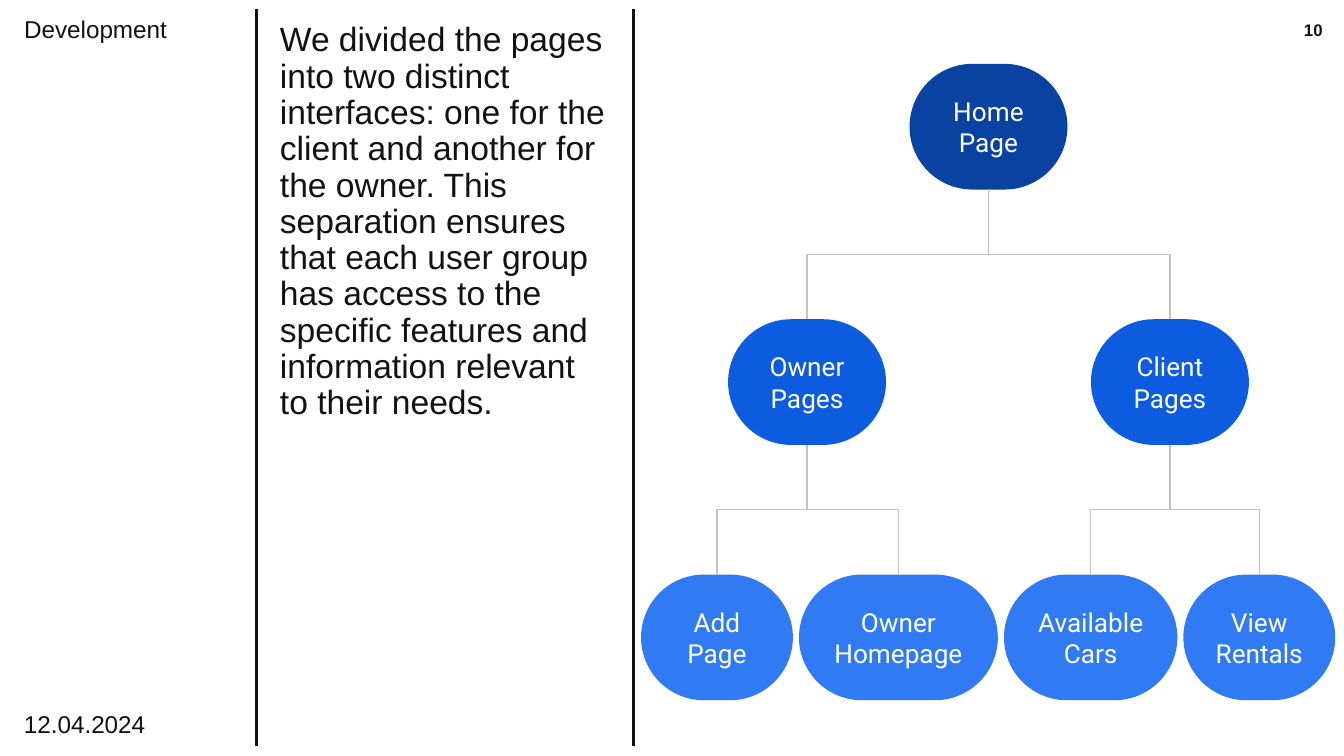
from lxml.etree import SubElement
from pptx import Presentation
from pptx.dml.color import RGBColor
from pptx.enum.shapes import MSO_CONNECTOR, MSO_SHAPE
from pptx.enum.text import MSO_ANCHOR, MSO_AUTO_SIZE, PP_ALIGN
from pptx.oxml.ns import qn
from pptx.util import Pt

PX = 4572  # 200 px to the inch
SLIDE_W, SLIDE_H = 2000, 1125

INK = RGBColor(0x12, 0x12, 0x12)
WHITE = RGBColor(0xFF, 0xFF, 0xFF)
BRANCH_GREY = RGBColor(0xC2, 0xC2, 0xC2)
HOME_BLUE = RGBColor(0x09, 0x42, 0xA1)
SECTION_BLUE = RGBColor(0x0D, 0x5C, 0xDF)
PAGE_BLUE = RGBColor(0x30, 0x7A, 0xF3)

TOP_SITE, BOTTOM_SITE = 0, 2
INSET, LABEL_H, DIVIDER_GAP = 20, 68, 15
NODE_H, TIER_STEP = 187, 380
SECTION_W, SECTION_OFFSET = 235, 270
PAGE_GAP = 9
SECTIONS = [
    ("Owner Pages", [("Add Page", 226), ("Owner Homepage", 296)]),
    ("Client Pages", [("Available Cars", 258), ("View Rentals", 226)]),
]
SUMMARY = (
    "We divided the pages into two distinct interfaces: one for the client "
    "and another for the owner. This separation ensures that each user group "
    "has access to the specific features and information relevant to their needs."
)


def place(shape, left, top, width, height):
    box = {"left": left, "top": top, "width": width, "height": height}
    for side, px in box.items():
        setattr(shape, side, round(px * PX))


def write(shape, text, size, color=INK, font="Arial", bold=False,
          align=PP_ALIGN.LEFT, anchor=MSO_ANCHOR.TOP, spacing=1.0):
    frame = shape.text_frame
    frame.text = text
    paragraph = frame.paragraphs[0]
    inset = INSET * PX
    formats = [
        (frame, {"word_wrap": True, "auto_size": MSO_AUTO_SIZE.NONE,
                 "vertical_anchor": anchor, "margin_left": inset, "margin_right": inset,
                 "margin_top": inset, "margin_bottom": inset}),
        (paragraph, {"alignment": align, "line_spacing": spacing}),
        (paragraph.runs[0].font, {"name": font, "size": Pt(size), "bold": bold}),
    ]
    for target, values in formats:
        for attribute, value in values.items():
            setattr(target, attribute, value)
    paragraph.runs[0].font.color.rgb = color


def add_label(slide, box, text, size, **style):
    label = slide.shapes.add_textbox(*(px * PX for px in box))
    write(label, text, size, **style)


def style_line(connector, color, width):
    connector.line.color.rgb = color
    connector.line.width = Pt(width)
    SubElement(connector.element.spPr, qn("a:effectLst"))


def add_divider(slide, x, top, bottom):
    divider = slide.shapes.add_connector(
        MSO_CONNECTOR.STRAIGHT, x * PX, bottom * PX, x * PX, top * PX)
    style_line(divider, INK, 1.5)


def add_node(slide, text, left, top, width, fill):
    node = slide.shapes.add_shape(MSO_SHAPE.ROUNDED_RECTANGLE, 0, 0, 0, 0)
    place(node, left, top, width, NODE_H)
    node.adjustments[0] = 0.5
    node.shadow.inherit = False
    node.fill.solid()
    node.fill.fore_color.rgb = fill
    node.line.fill.background()
    write(node, text, 14, color=WHITE, font="Roboto",
          align=PP_ALIGN.CENTER, anchor=MSO_ANCHOR.MIDDLE)
    return node


def add_branch(slide, parent, child):
    """Join parent to child with an elbow that leaves and arrives vertically."""
    parent_x = parent.left + parent.width // 2
    child_x = child.left + child.width // 2
    parent_bottom = parent.top + parent.height
    ends = sorted([(parent_x, parent, BOTTOM_SITE), (child_x, child, TOP_SITE)],
                  key=lambda end: end[0])
    branch = slide.shapes.add_connector(MSO_CONNECTOR.ELBOW, 0, 0, 0, 0)
    branch.begin_connect(*ends[0][1:])
    branch.end_connect(*ends[1][1:])

    # A quarter turn swaps the sides, so the frame is laid out around its centre.
    drop, reach = child.top - parent_bottom, abs(child_x - parent_x)
    branch.left = (parent_x + child_x - drop) // 2
    branch.top = (parent_bottom + child.top - reach) // 2
    branch.width, branch.height = drop, reach
    xfrm = branch.element.spPr.find(qn("a:xfrm"))
    turns = {"rot": "16200000", "flipH": str(int(child_x > parent_x)), "flipV": "0"}
    for attribute, value in turns.items():
        xfrm.set(attribute, value)
    style_line(branch, BRANCH_GREY, 0.75)


def build_sidebar(slide, left, top, width, height):
    title = slide.shapes.title
    place(title, left, top, width, LABEL_H)
    write(title, "Development", 13, spacing=0.8)
    date_box = (left, top + height - LABEL_H, width, LABEL_H)
    add_label(slide, date_box, "12.04.2024", 13, spacing=0.8)


def build_summary(slide, left, top, width, height):
    for x in (left - DIVIDER_GAP, left + width + DIVIDER_GAP):
        add_divider(slide, x, top, top + height)
    add_label(slide, (left, top, width, 258), SUMMARY, 18, spacing=0.9)


def build_site_map(slide, left, top, width):
    middle = left + width / 2
    home = add_node(slide, "Home Page", middle - SECTION_W / 2, top, SECTION_W, HOME_BLUE)
    page_left = left
    for side, (section_name, pages) in zip((-1, 1), SECTIONS):
        section_left = middle + side * SECTION_OFFSET - SECTION_W / 2
        section = add_node(slide, section_name, section_left, top + TIER_STEP,
                           SECTION_W, SECTION_BLUE)
        add_branch(slide, home, section)
        for page_name, page_w in pages:
            page = add_node(slide, page_name, page_left, top + 2 * TIER_STEP,
                            page_w, PAGE_BLUE)
            add_branch(slide, section, page)
            page_left += page_w + PAGE_GAP


def main():
    presentation = Presentation()
    presentation.slide_width = SLIDE_W * PX
    presentation.slide_height = SLIDE_H * PX
    slide = presentation.slides.add_slide(presentation.slide_layouts[5])

    build_sidebar(slide, 16, 10, 336, 1102)
    build_summary(slide, 397, 14, 531, 1096)
    build_site_map(slide, 954, 95, 1034)
    add_label(slide, (1868, 10, 120, 86), "10", 9, bold=True, align=PP_ALIGN.RIGHT)

    presentation.save("out.pptx")


if __name__ == "__main__":
    main()
